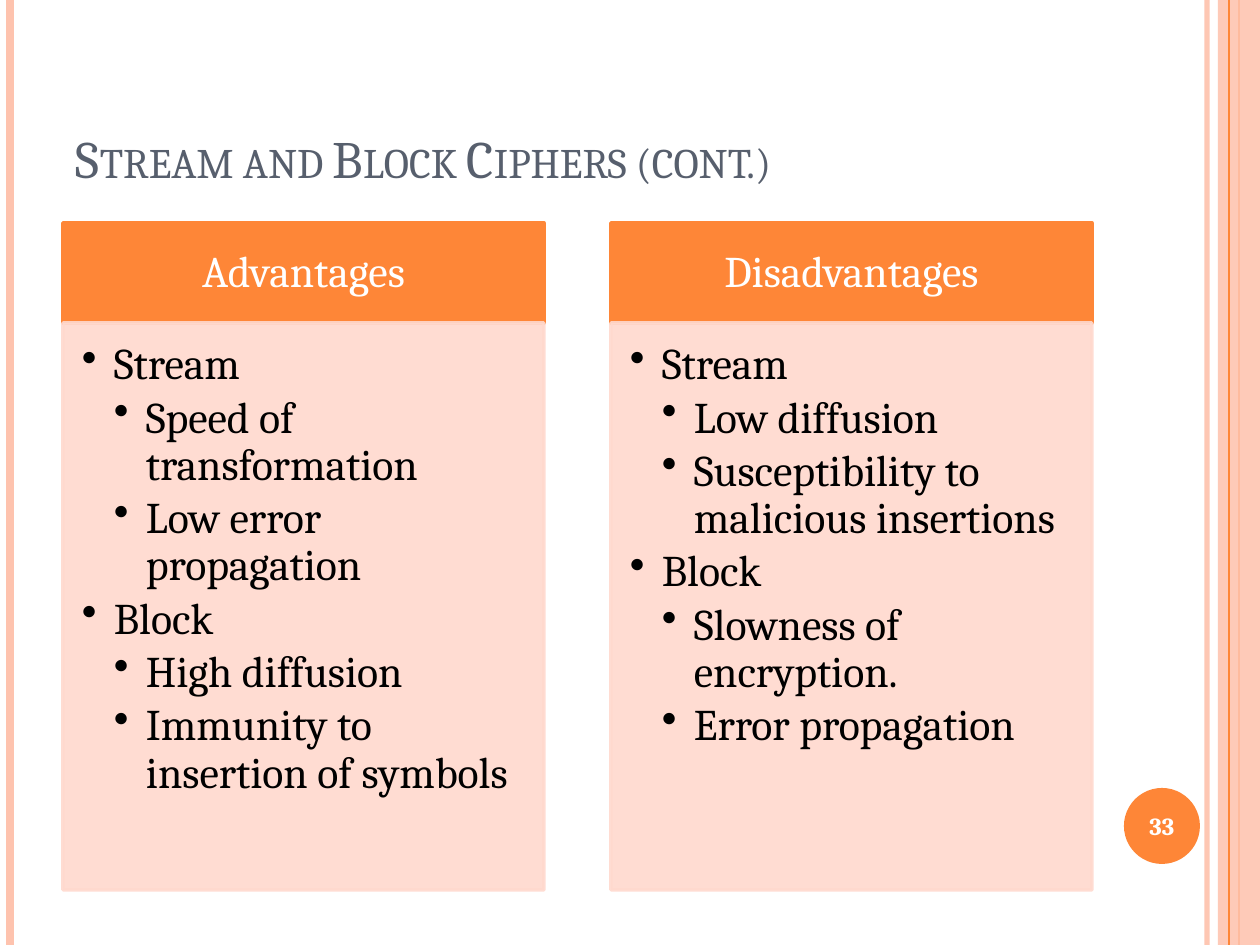
"""Build a slide comparing advantages and disadvantages of stream and block ciphers."""
from dataclasses import dataclass, field

from lxml.etree import SubElement
from pptx import Presentation
from pptx.dml.color import RGBColor
from pptx.enum.shapes import MSO_CONNECTOR, MSO_SHAPE
from pptx.enum.text import MSO_ANCHOR, MSO_AUTO_SIZE, PP_ALIGN
from pptx.oxml.ns import qn
from pptx.util import Emu, Pt

COLORS = {
    "orange": "FE8637",
    "peach": "FEC3AE",
    "panel": "FFD9CE",
    "slate": "575F6D",
    "white": "FFFFFF",
    "black": "000000",
}
EMU_PER_PX = 914400 / 126
WIDTH, HEIGHT = 1260, 945
LEFT, COLUMN_WIDTH, COLUMN_STEP = 63, 481, 548
HEADER_TOP, HEADER_HEIGHT, BODY_HEIGHT = 223, 100, 567
INDENT = 32
RAILS = [(1207, "peach", 3, 93), (10, "peach", 4.5, 100), (1239, "orange", 1.5, 100)]
INNER_RAIL = (1229, "orange", 0.75, 100)
COLUMNS = [
    ("Advantages", [
        (0, "Stream"),
        (1, "Speed of transformation"),
        (1, "Low error propagation"),
        (0, "Block"),
        (1, "High diffusion"),
        (1, "Immunity to insertion of symbols"),
    ]),
    ("Disadvantages", [
        (0, "Stream"),
        (1, "Low diffusion"),
        (1, "Susceptibility to malicious insertions"),
        (0, "Block"),
        (1, "Slowness of encryption."),
        (1, "Error propagation"),
    ]),
]


def px(value):
    return Emu(round(value * EMU_PER_PX))


def rgb(name):
    return RGBColor.from_string(COLORS[name])


def apply_format(target, values):
    for name, value in values.items():
        setattr(target, name, value)


def set_opacity(shape, percent):
    if percent < 100:
        for color in shape.element.spPr.iter(qn("a:srgbClr")):
            SubElement(color, qn("a:alpha")).set("val", str(percent * 1000))


@dataclass
class SlideBuilder:
    slide: object
    style: dict = field(default_factory=lambda: {"name": "Cambria", "size": Pt(25), "bold": False})

    def add_text(self, paragraph, text, color, **values):
        run = paragraph.add_run()
        run.text = text
        apply_format(run.font, {**self.style, **values})
        run.font.color.rgb = rgb(color)
        return run

    def set_frame(self, shape, insets, anchor):
        names = ("margin_left", "margin_top", "margin_right", "margin_bottom")
        values = dict(zip(names, map(px, insets)))
        values.update(word_wrap=True, auto_size=MSO_AUTO_SIZE.NONE, vertical_anchor=anchor)
        apply_format(shape.text_frame, values)
        return shape.text_frame

    def add_title(self, text, box):
        title = self.slide.shapes.title
        apply_format(title, dict(zip(("left", "top", "width", "height"), map(px, box))))
        frame = self.set_frame(title, (13, 6, 13, 6), MSO_ANCHOR.BOTTOM)
        paragraph = frame.paragraphs[0]
        paragraph.alignment = PP_ALIGN.LEFT
        run = self.add_text(paragraph, text, "slate", size=Pt(30))
        run.font._element.set("cap", "small")

    def add_rail(self, x, color, width, opacity):
        rail = self.slide.shapes.add_connector(
            MSO_CONNECTOR.STRAIGHT, px(x), px(0), px(x), px(HEIGHT))
        rail.line.color.rgb = rgb(color)
        rail.line.width = Pt(width)
        SubElement(rail.element.spPr, qn("a:effectLst"))
        set_opacity(rail, opacity)

    def add_block(self, kind, box, color, opacity=100, outline=0):
        shape = self.slide.shapes.add_shape(kind, *map(px, box))
        shape.shadow.inherit = False
        shape.fill.solid()
        shape.fill.fore_color.rgb = rgb(color)
        if outline:
            shape.line.color.rgb = rgb(color)
            shape.line.width = Pt(outline)
        else:
            shape.line.fill.background()
        set_opacity(shape, opacity)
        return shape

    def add_header(self, text, box):
        header = self.add_block(MSO_SHAPE.RECTANGLE, box, "orange", outline=2)
        frame = self.set_frame(header, (24, 14, 24, 14), MSO_ANCHOR.MIDDLE)
        paragraph = frame.paragraphs[0]
        apply_format(paragraph, {"alignment": PP_ALIGN.CENTER, "line_spacing": 0.9})
        self.add_text(paragraph, text, "white")

    def add_bullet_panel(self, items, box):
        panel = self.add_block(MSO_SHAPE.RECTANGLE, box, "panel", opacity=90, outline=2)
        frame = self.set_frame(panel, (19, 19, 24, 28), MSO_ANCHOR.TOP)
        for index, (level, text) in enumerate(items):
            paragraph = frame.add_paragraph() if index else frame.paragraphs[0]
            apply_format(paragraph, {"alignment": PP_ALIGN.LEFT, "line_spacing": 0.9,
                                     "space_after": Pt(3.5), "level": level})
            properties = paragraph._p.get_or_add_pPr()
            properties.set("marL", str(px(INDENT * (level + 1))))
            properties.set("indent", str(px(-INDENT)))
            SubElement(properties, qn("a:buChar")).set("char", "•")
            self.add_text(paragraph, text, "black")

    def add_page_badge(self, number, box):
        badge = self.add_block(MSO_SHAPE.OVAL, box, "orange")
        frame = self.set_frame(badge, (0, 0, 0, 0), MSO_ANCHOR.MIDDLE)
        paragraph = frame.paragraphs[0]
        paragraph.alignment = PP_ALIGN.CENTER
        self.add_text(paragraph, number, "white", size=Pt(14), bold=True)


def main():
    presentation = Presentation()
    presentation.slide_width, presentation.slide_height = px(WIDTH), px(HEIGHT)
    builder = SlideBuilder(presentation.slides.add_slide(presentation.slide_layouts[5]))
    for rail in RAILS:
        builder.add_rail(*rail)
    builder.add_block(MSO_SHAPE.RECTANGLE, (1218, 0, 42, HEIGHT), "peach", opacity=87)
    builder.add_rail(*INNER_RAIL)
    builder.add_page_badge("33", (1124, 788, 76, 76))
    builder.add_title("Stream and Block Ciphers (cont.)", (LEFT, 38, 1029, 157))
    for index, (heading, items) in enumerate(COLUMNS):
        left = LEFT + index * COLUMN_STEP
        builder.add_header(heading, (left, HEADER_TOP, COLUMN_WIDTH, HEADER_HEIGHT))
        builder.add_bullet_panel(
            items, (left, HEADER_TOP + HEADER_HEIGHT, COLUMN_WIDTH, BODY_HEIGHT))
    presentation.save("out.pptx")


if __name__ == "__main__":
    main()
